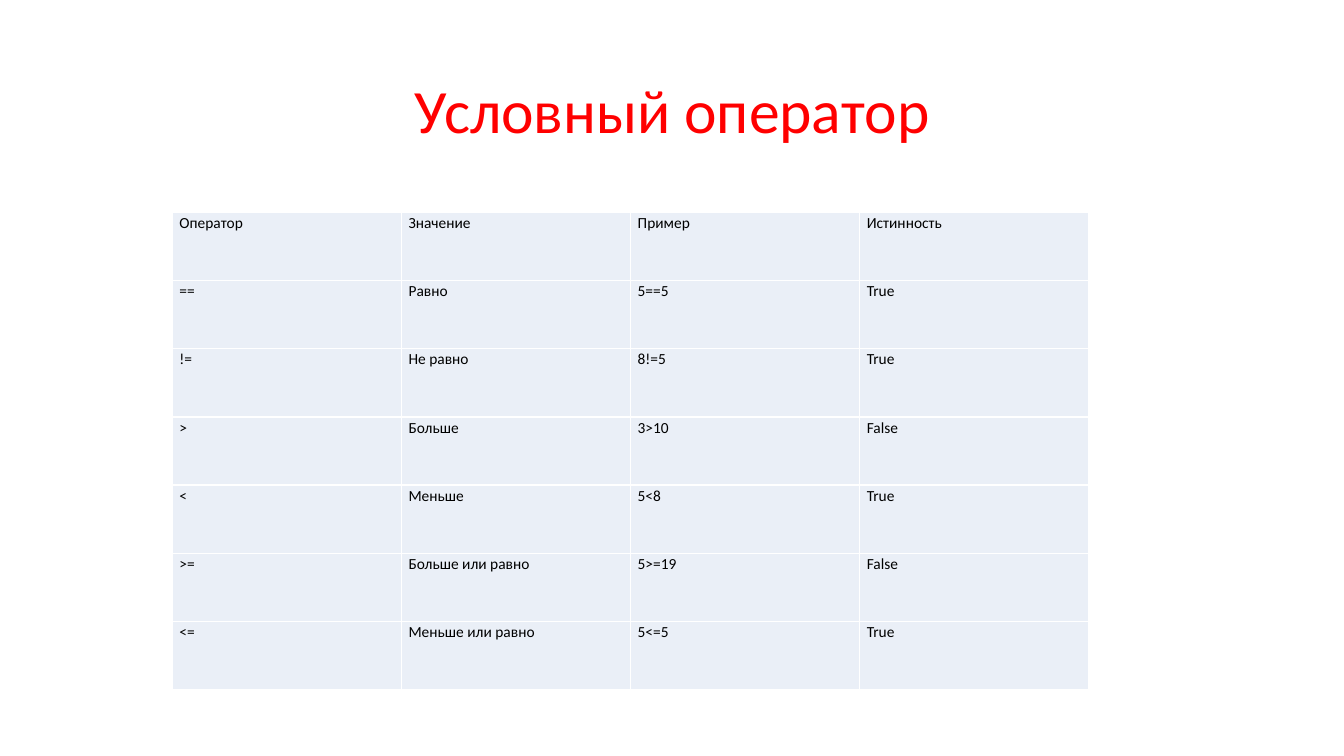
from lxml import etree
from pptx import Presentation
from pptx.dml.color import RGBColor
from pptx.enum import text
from pptx.oxml import ns
from pptx.util import Inches, Pt

RED = RGBColor(0xFF, 0x00, 0x00)
BLACK = RGBColor(0x00, 0x00, 0x00)
WHITE = RGBColor(0xFF, 0xFF, 0xFF)
PALE_BLUE = RGBColor(0xEA, 0xEF, 0xF7)
FONT = "Calibri"

ROWS = [
    ("Оператор", "Значение", "Пример", "Истинность"),
    ("==", "Равно", "5==5", "True"),
    ("!=", "Не равно", "8!=5", "True"),
    (">", "Больше", "3>10", "False"),
    ("<", "Меньше", "5<8", "True"),
    (">=", "Больше или равно", "5>=19", "False"),
    ("<=", "Меньше или равно", "5<=5", "True"),
]


def add_borders(cell, color, width):
    properties = cell._tc.get_or_add_tcPr()
    for side in ("a:lnL", "a:lnR", "a:lnT", "a:lnB"):
        line = etree.SubElement(properties, ns.qn(side), w=str(width))
        fill = etree.SubElement(line, ns.qn("a:solidFill"))
        etree.SubElement(fill, ns.qn("a:srgbClr"), val=str(color))


def style_paragraph(para, size, color, spacing):
    para.line_spacing = spacing
    para.font.name = FONT
    para.font.size = Pt(size)
    para.font.color.rgb = color


deck = Presentation()
deck.slide_width = Inches(13.33)
deck.slide_height = Inches(7.5)
page = deck.slides.add_slide(deck.slide_layouts[5])

title = page.shapes.title
title.left, title.top = Inches(0.92), Inches(0.4)
title.width, title.height = Inches(11.5), Inches(1.45)
title.text_frame.text = "Условный оператор"
title.text_frame.vertical_anchor = text.MSO_ANCHOR.MIDDLE
title_para = title.text_frame.paragraphs[0]
title_para.alignment = text.PP_ALIGN.CENTER
style_paragraph(title_para, 44, RED, 0.9)

frame = page.shapes.add_table(
    len(ROWS), len(ROWS[0]), Inches(1.71), Inches(2.11), Inches(9.09), Inches(4.73)
)
operators = frame.table
operators.first_row = False
operators.horz_banding = False

for row, values in enumerate(ROWS):
    for column, value in enumerate(values):
        cell = operators.cell(row, column)
        cell.text = value
        cell.margin_left = cell.margin_right = Inches(0.07)
        cell.margin_top = cell.margin_bottom = 0
        add_borders(cell, WHITE, Pt(1))
        cell.fill.solid()
        cell.fill.fore_color.rgb = PALE_BLUE
        style_paragraph(cell.text_frame.paragraphs[0], 11, BLACK, 1.07)

deck.save("out.pptx")
